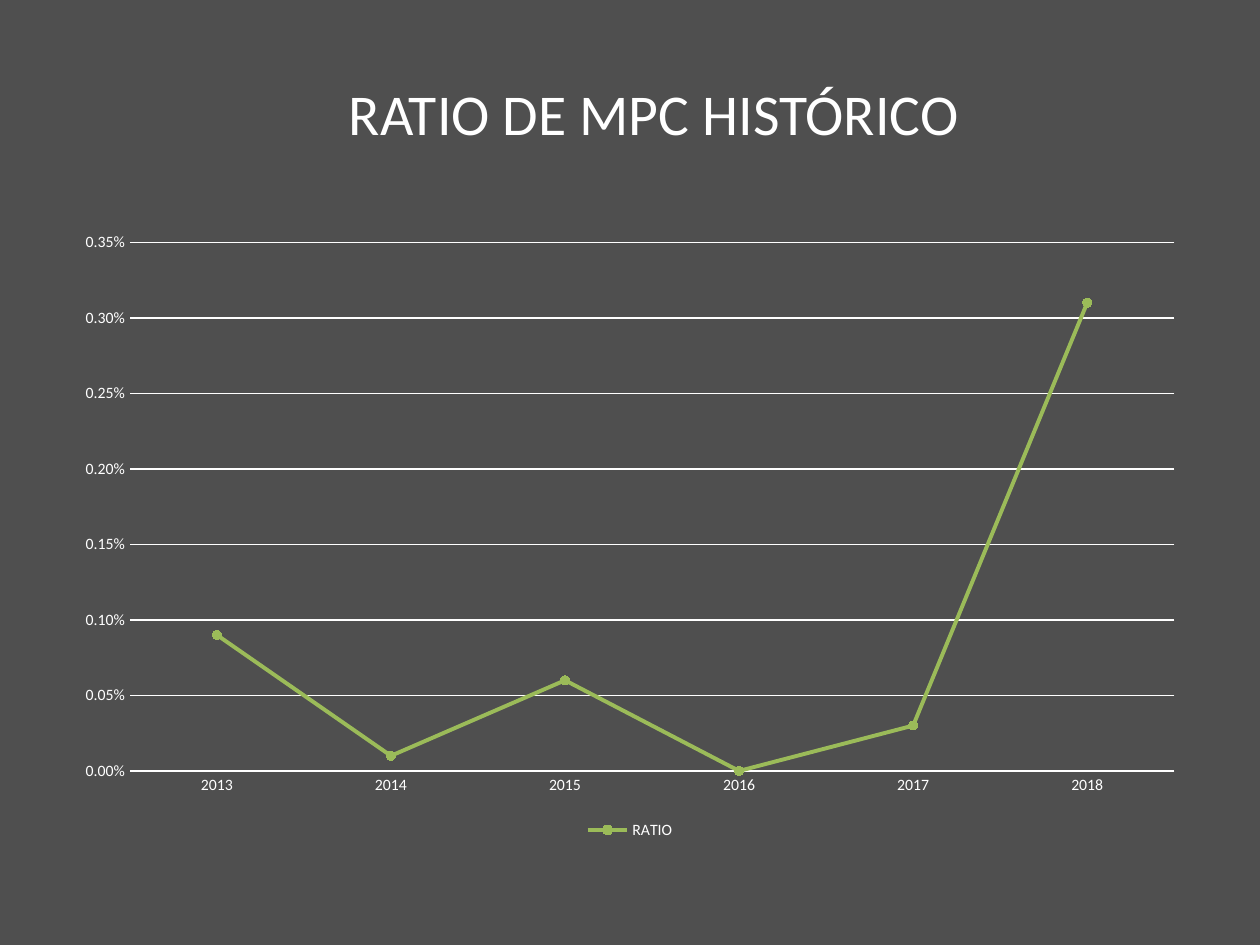
from dataclasses import dataclass

from pptx import Presentation
from pptx.chart.data import CategoryChartData
from pptx.dml.color import RGBColor
from pptx.enum.chart import XL_CHART_TYPE, XL_LEGEND_POSITION, XL_MARKER_STYLE, XL_TICK_MARK
from pptx.enum.text import MSO_ANCHOR, PP_ALIGN
from pptx.util import Cm, Pt

LINE_MARKERS = XL_CHART_TYPE.LINE_MARKERS
LEGEND_BOTTOM = XL_LEGEND_POSITION.BOTTOM
CIRCLE = XL_MARKER_STYLE.CIRCLE
NO_TICK = XL_TICK_MARK.NONE
MIDDLE = MSO_ANCHOR.MIDDLE
CENTER = PP_ALIGN.CENTER

FONT = "Calibri"
BACKGROUND = "4F4F4F"
WHITE = "FFFFFF"
GREEN = "9BBB59"


@dataclass(frozen=True)
class Area:
    left: float
    top: float
    width: float
    height: float

    def lengths(self) -> tuple:
        return Cm(self.left), Cm(self.top), Cm(self.width), Cm(self.height)


TITLE_AREA = Area(5.51, 0.91, 15.34, 2.72)
CHART_AREA = Area(1.27, 4.45, 22.86, 12.57)
RATIOS = {"2013": 0.0009, "2014": 0.0001, "2015": 0.0006,
          "2016": 0, "2017": 0.0003, "2018": 0.0031}


def color(hex_code: str) -> RGBColor:
    return RGBColor.from_string(hex_code)


def paint(fill, hex_code: str) -> None:
    fill.solid()
    fill.fore_color.rgb = color(hex_code)


def style_font(font, size: float, hex_code: str = WHITE) -> None:
    font.name = FONT
    font.size = Pt(size)
    font.bold = False
    font.color.rgb = color(hex_code)


def add_text(page, area: Area, text: str, *, size: float, align=CENTER, anchor=MIDDLE) -> None:
    box = page.shapes.add_textbox(*area.lengths())
    frame = box.text_frame
    frame.word_wrap = True
    frame.vertical_anchor = anchor
    para = frame.paragraphs[0]
    para.alignment = align
    span = para.add_run()
    span.text = text
    style_font(span.font, size)


def style_axis(axis) -> None:
    axis.major_tick_mark = NO_TICK
    axis.minor_tick_mark = NO_TICK
    axis.format.line.fill.background()
    style_font(axis.tick_labels.font, 9)


def style_series(series) -> None:
    series.smooth = False
    series.format.line.color.rgb = color(GREEN)
    series.format.line.width = Pt(2.25)
    marker = series.marker
    marker.style = CIRCLE
    marker.size = 5
    paint(marker.format.fill, GREEN)
    marker.format.line.color.rgb = color(GREEN)


def add_ratio_chart(page, area: Area, ratios: dict[str, float]) -> None:
    data = CategoryChartData(number_format="0.00%")
    data.categories = list(ratios)
    data.add_series("RATIO", list(ratios.values()))
    chart = page.shapes.add_chart(LINE_MARKERS, *area.lengths(), data).chart

    style_font(chart.font, 10)
    chart.has_title = False
    chart.has_legend = True
    chart.legend.position = LEGEND_BOTTOM
    chart.legend.include_in_layout = False
    style_font(chart.legend.font, 9)

    style_axis(chart.category_axis)
    value_axis = chart.value_axis
    style_axis(value_axis)
    value_axis.minimum_scale = 0
    value_axis.maximum_scale = 0.0035
    value_axis.major_unit = 0.0005
    value_axis.tick_labels.number_format = "0.00%"
    value_axis.tick_labels.number_format_is_linked = False
    grid_line = value_axis.major_gridlines.format.line
    grid_line.color.rgb = color(WHITE)
    grid_line.width = Pt(0.75)

    plot = chart.plots[0]
    plot.vary_by_categories = False
    style_series(plot.series[0])


def main() -> None:
    deck = Presentation()
    deck.slide_width = Cm(25.4)
    deck.slide_height = Cm(19.05)
    page = deck.slides.add_slide(deck.slide_layouts[6])
    paint(page.background.fill, BACKGROUND)
    add_text(page, TITLE_AREA, "RATIO DE MPC HISTÓRICO", size=33)
    add_ratio_chart(page, CHART_AREA, RATIOS)
    deck.save("out.pptx")


if __name__ == "__main__":
    main()
